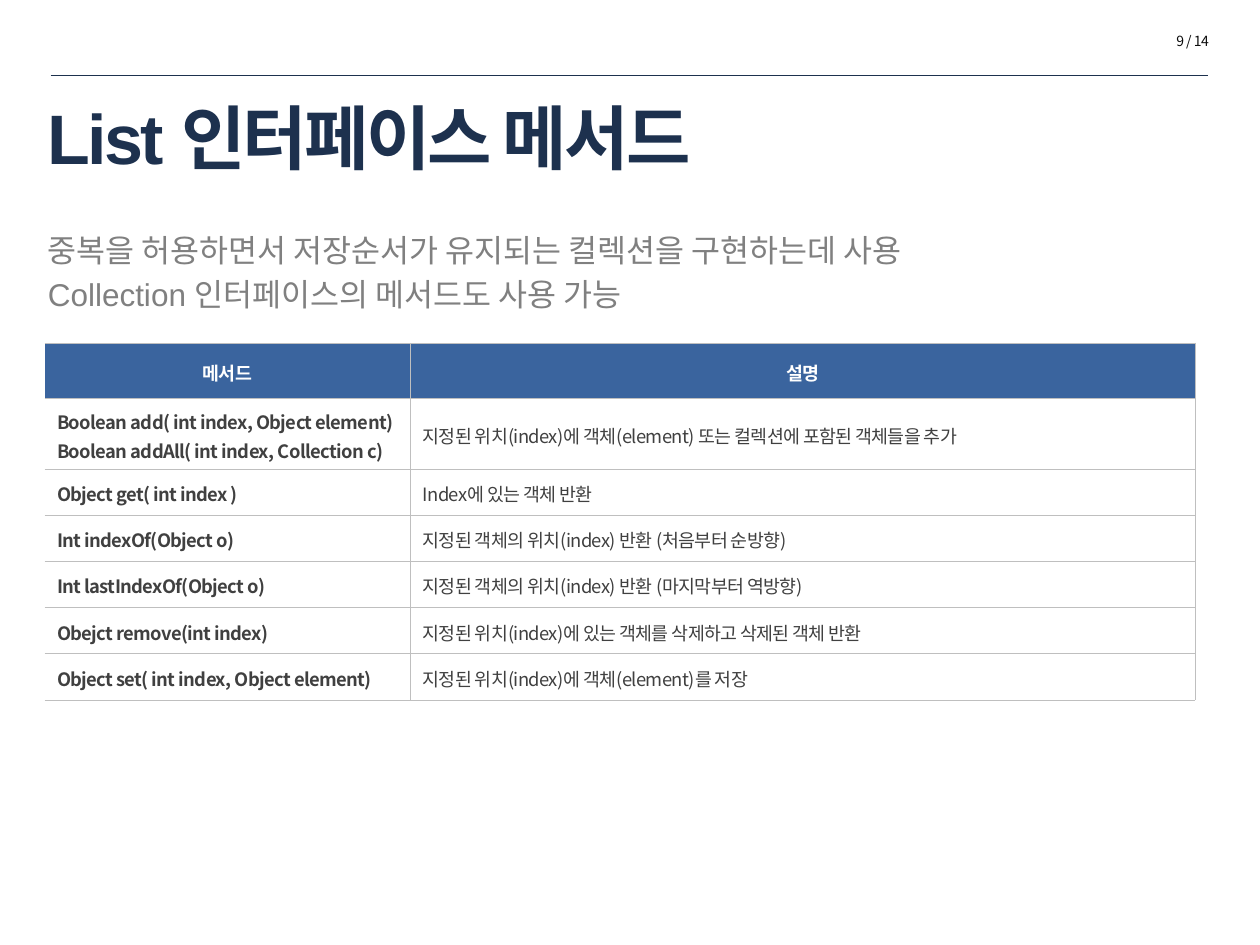
from dataclasses import dataclass

from lxml.etree import SubElement
from pptx import Presentation
from pptx.dml.color import RGBColor
from pptx.enum.shapes import MSO_CONNECTOR
from pptx.enum.text import MSO_ANCHOR, MSO_AUTO_SIZE, PP_ALIGN
from pptx.oxml.ns import qn
from pptx.util import Cm, Pt

NAVY = RGBColor(0x1D, 0x31, 0x4E)
BLUE = RGBColor(0x3A, 0x64, 0x9E)
GRAY = RGBColor(0x80, 0x80, 0x80)
DARK = RGBColor(0x40, 0x40, 0x40)
BLACK = RGBColor(0x0D, 0x0D, 0x0D)
WHITE = RGBColor(0xFF, 0xFF, 0xFF)
BORDER = RGBColor(0xBF, 0xBF, 0xBF)
KOREAN_FONT = "Noto Sans CJK KR"


@dataclass(frozen=True)
class TextStyle:
    size: float
    color: RGBColor
    font: str = KOREAN_FONT
    bold: bool = False
    spacing: float = -0.3


@dataclass(frozen=True)
class Method:
    signatures: tuple[str, ...]
    description: str


TITLE_STYLE = TextStyle(40, NAVY, "Arial", True, -1.5)
BODY_STYLE = TextStyle(18, GRAY, "Arial", spacing=0)
PAGE_STYLE = TextStyle(8, BLACK)
HEADER_STYLE = TextStyle(10.5, WHITE, bold=True)
SIGNATURE_STYLE = TextStyle(10.5, DARK, bold=True)
DESCRIPTION_STYLE = TextStyle(10.5, DARK)

SUMMARY = (
    "중복을 허용하면서 저장순서가 유지되는 컬렉션을 구현하는데 사용",
    "Collection 인터페이스의 메서드도 사용 가능",
)
HEADERS = ("메서드", "설명")
METHODS = (
    Method(
        ("Boolean add( int index, Object element)", "Boolean addAll( int index, Collection c)"),
        "지정된 위치(index)에 객체(element) 또는 컬렉션에 포함된 객체들을 추가",
    ),
    Method(("Object get( int index )",), "Index에 있는 객체 반환"),
    Method(("Int indexOf(Object o)",), "지정된 객체의 위치(index) 반환 (처음부터 순방향)"),
    Method(("Int lastIndexOf(Object o)",), "지정된 객체의 위치(index) 반환 (마지막부터 역방향)"),
    Method(("Obejct remove(int index)",), "지정된 위치(index)에 있는 객체를 삭제하고 삭제된 객체 반환"),
    Method(("Object set( int index, Object element)",), "지정된 위치(index)에 객체(element)를 저장"),
)
COLUMN_WIDTHS = (7.37, 15.82)
HEADER_HEIGHT = 1.12
ROW_HEIGHTS = {1: 0.93, 2: 1.42}


def write_lines(text_frame, lines: tuple[str, ...], style: TextStyle,
                alignment=PP_ALIGN.LEFT, line_spacing: float | None = None) -> None:
    for index, line in enumerate(lines):
        paragraph = text_frame.add_paragraph() if index else text_frame.paragraphs[0]
        paragraph.alignment = alignment
        if line_spacing:
            paragraph.line_spacing = line_spacing
        run = paragraph.add_run()
        run.text = line
        font = run.font
        font.name = style.font
        font.size = Pt(style.size)
        font.bold = style.bold
        font.color.rgb = style.color
        properties = run._r.get_or_add_rPr()
        properties.set("spc", str(round(style.spacing * 100)))
        if style.font == KOREAN_FONT:
            SubElement(properties, qn("a:ea"), typeface=KOREAN_FONT)


def place(shape, left: float, top: float, width: float, height: float, anchor) -> None:
    shape.left, shape.top = Cm(left), Cm(top)
    shape.width, shape.height = Cm(width), Cm(height)
    shape.text_frame.word_wrap = True
    shape.text_frame.auto_size = MSO_AUTO_SIZE.NONE
    shape.text_frame.vertical_anchor = anchor


def remove_bullets(text_frame) -> None:
    for paragraph in text_frame.paragraphs:
        properties = paragraph._p.get_or_add_pPr()
        properties.set("marL", "0")
        properties.set("indent", "0")
        SubElement(properties, qn("a:buNone"))


def draw_borders(cell, has_left: bool) -> None:
    properties = cell._tc.get_or_add_tcPr()
    for side in "LRTB":
        line = SubElement(properties, qn(f"a:ln{side}"), w=str(Pt(0.5)))
        if side == "L" and not has_left:
            SubElement(line, qn("a:noFill"))
        else:
            fill = SubElement(line, qn("a:solidFill"))
            SubElement(fill, qn("a:srgbClr"), val=str(BORDER))


def fill_cell(cell, lines: tuple[str, ...], style: TextStyle, has_left: bool,
              is_header: bool = False) -> None:
    cell.vertical_anchor = MSO_ANCHOR.MIDDLE
    cell.margin_left = cell.margin_right = Cm(0.25)
    cell.margin_top = cell.margin_bottom = Cm(0.13)
    alignment = PP_ALIGN.CENTER if is_header else PP_ALIGN.LEFT
    write_lines(cell.text_frame, lines, style, alignment, 1.1)
    draw_borders(cell, has_left)
    if is_header:
        cell.fill.solid()
        cell.fill.fore_color.rgb = BLUE
    else:
        cell.fill.background()


def add_method_table(slide) -> None:
    heights = [HEADER_HEIGHT] + [ROW_HEIGHTS[len(method.signatures)] for method in METHODS]
    frame = slide.shapes.add_table(
        len(heights), len(COLUMN_WIDTHS), Cm(0.9), Cm(6.92),
        Cm(sum(COLUMN_WIDTHS)), Cm(sum(heights)))
    table = frame.table
    table.horz_banding = False
    for column, width in zip(table.columns, COLUMN_WIDTHS):
        column.width = Cm(width)
    for row, height in zip(table.rows, heights):
        row.height = Cm(height)
    for column, header in enumerate(HEADERS):
        fill_cell(table.cell(0, column), (header,), HEADER_STYLE, column > 0, True)
    for row, method in enumerate(METHODS, start=1):
        fill_cell(table.cell(row, 0), method.signatures, SIGNATURE_STYLE, False)
        fill_cell(table.cell(row, 1), (method.description,), DESCRIPTION_STYLE, True)


def add_page_header(slide) -> None:
    page_box = slide.shapes.add_textbox(Cm(20.22), Cm(0.53), Cm(4.4), Cm(0.61))
    page_box.text_frame.word_wrap = True
    write_lines(page_box.text_frame, ("9 / 14",), PAGE_STYLE, PP_ALIGN.RIGHT)
    rule = slide.shapes.add_connector(
        MSO_CONNECTOR.STRAIGHT, Cm(1.02), Cm(1.52), Cm(24.36), Cm(1.52))
    rule.line.color.rgb = NAVY
    rule.line.width = Pt(0.25)
    SubElement(rule._element.spPr, qn("a:effectLst"))


def main() -> None:
    presentation = Presentation()
    presentation.slide_width, presentation.slide_height = Cm(25.4), Cm(19.05)
    slide = presentation.slides.add_slide(presentation.slide_layouts[1])
    title, body = slide.placeholders
    place(title, 0.71, 1.7, 23.57, 2.11, MSO_ANCHOR.MIDDLE)
    write_lines(title.text_frame, ("List 인터페이스 메서드",), TITLE_STYLE)
    place(body, 0.71, 4.52, 23.52, 3.53, MSO_ANCHOR.TOP)
    write_lines(body.text_frame, SUMMARY, BODY_STYLE)
    remove_bullets(body.text_frame)
    add_page_header(slide)
    add_method_table(slide)
    presentation.save("out.pptx")


if __name__ == "__main__":
    main()
